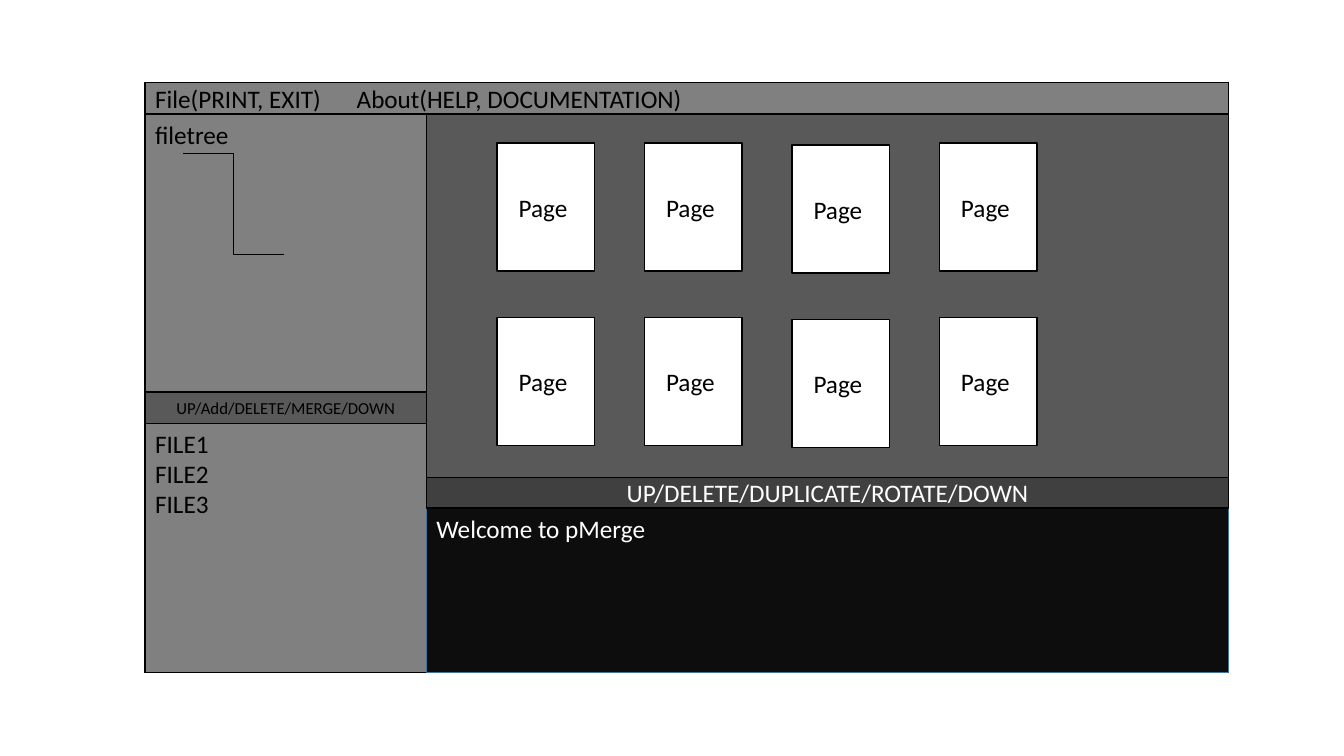
import pptx
import pptx.util
import pptx.dml.color
import pptx.enum.shapes
import pptx.enum.text
import pptx.oxml.ns
import lxml.etree

COLORS = {
    "black": "000000", "white": "FFFFFF", "panel": "808080", "canvas": "595959",
    "toolbar": "404040", "console": "0D0D0D", "console_edge": "43739E",
}
MENU = "File(PRINT, EXIT)\tAbout(HELP, DOCUMENTATION)"
TREE_TITLE = "filetree"
FILES = ["FILE1", "FILE2", "FILE3"]
FILE_ACTIONS = "UP/Add/DELETE/MERGE/DOWN"
PAGE_ACTIONS = "UP/DELETE/DUPLICATE/ROTATE/DOWN"
WELCOME = "Welcome to pMerge"
PAGE_LABEL = "Page "

LEFT, TOP, RIGHT, BOTTOM = 1.44, 0.82, 12.19, 6.67
SPLIT = 4.23
BAR = 0.31
SIDE, MAIN = SPLIT - LEFT, RIGHT - SPLIT
CONTENT_TOP = TOP + BAR
FILE_BAR_TOP, FILES_TOP = 3.89, 4.2
PAGE_BAR_TOP, CONSOLE_TOP = 4.74, 5.04
PAGE_LEFT, PAGE_TOP, PAGE_WIDTH, PAGE_HEIGHT = 4.93, 1.42, 0.97, 1.27
COLUMN_STEP, ROW_STEP = 1.463, 1.73
COLUMN_DROPS = [0, 0, 0.02, 0]
ROWS = 2

presentation = pptx.Presentation()
presentation.slide_width = pptx.util.Inches(13.333)
presentation.slide_height = pptx.util.Inches(7.5)
slide = presentation.slides.add_slide(presentation.slide_layouts[6])


def color(name):
    return pptx.dml.color.RGBColor.from_string(COLORS[name])


def add_box(left, top, width, height, fill, lines=(), ink="black", size=18,
            edge="black", middle=False, centered=False):
    shape = slide.shapes.add_shape(
        pptx.enum.shapes.MSO_SHAPE.RECTANGLE,
        *(pptx.util.Inches(value) for value in (left, top, width, height)))
    shape.shadow.inherit = False
    shape.fill.solid()
    shape.fill.fore_color.rgb = color(fill)
    shape.line.color.rgb = color(edge)
    shape.line.width = pptx.util.Pt(1)
    anchor = pptx.enum.text.MSO_ANCHOR
    align = pptx.enum.text.PP_ALIGN
    frame = shape.text_frame
    frame.word_wrap = True
    frame.vertical_anchor = anchor.MIDDLE if middle else anchor.TOP
    frame.text = "\n".join(lines)
    for paragraph in frame.paragraphs:
        paragraph.alignment = align.CENTER if centered else align.LEFT
        for run in paragraph.runs:
            run.font.name = "Calibri"
            run.font.size = pptx.util.Pt(size)
            run.font.color.rgb = color(ink)


def add_branch(left, top, width, height):
    branch = slide.shapes.add_connector(
        pptx.enum.shapes.MSO_CONNECTOR.ELBOW,
        *(pptx.util.Inches(value) for value in (left, top, left + width, top + height)))
    branch.line.color.rgb = color("black")
    branch.line.width = pptx.util.Pt(0.5)
    lxml.etree.SubElement(branch._element.spPr, pptx.oxml.ns.qn("a:effectLst"))


add_box(LEFT, TOP, RIGHT - LEFT, BOTTOM - TOP, "canvas")
add_box(LEFT, CONTENT_TOP, SIDE, 2.83, "panel", [TREE_TITLE])
add_box(LEFT, FILES_TOP, SIDE, BOTTOM - FILES_TOP, "panel", FILES)
add_box(SPLIT, CONSOLE_TOP, MAIN, BOTTOM - CONSOLE_TOP, "console", [WELCOME],
        ink="white", edge="console_edge")
add_box(LEFT, TOP, RIGHT - LEFT, BAR, "panel", [MENU], middle=True)
add_box(LEFT, FILE_BAR_TOP, SIDE, FILES_TOP - FILE_BAR_TOP, "canvas", [FILE_ACTIONS],
        size=12, middle=True, centered=True)

for row in range(ROWS):
    for column, drop in enumerate(COLUMN_DROPS):
        add_box(PAGE_LEFT + column * COLUMN_STEP, PAGE_TOP + row * ROW_STEP + drop,
                PAGE_WIDTH, PAGE_HEIGHT, "white", [PAGE_LABEL],
                middle=True, centered=True)

add_branch(1.82, 1.52, 1, 1)
add_box(SPLIT, PAGE_BAR_TOP, MAIN, CONSOLE_TOP - PAGE_BAR_TOP, "toolbar", [PAGE_ACTIONS],
        ink="white", middle=True, centered=True)

presentation.save("out.pptx")
